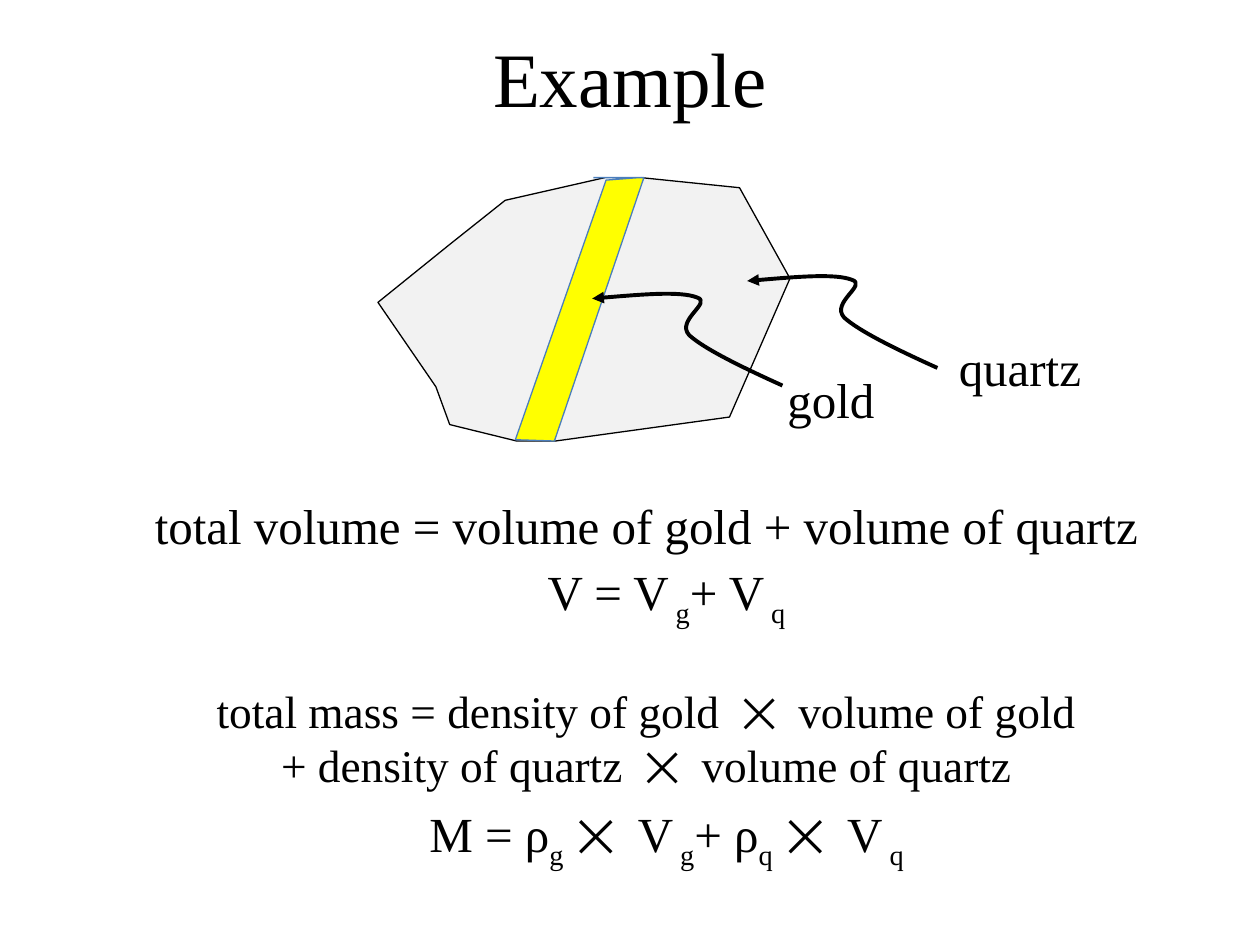
from pptx import Presentation
from pptx.dml.color import RGBColor as RGB
from pptx.enum.text import MSO_ANCHOR as Anchor, PP_ALIGN as Align
from pptx.oxml.ns import qn
from pptx.util import Emu, Pt
from lxml.etree import SubElement

PX = 9144
FONT = "Times New Roman"
COLORS = {"ink": "000000", "quartz": "F2F2F2", "gold": "FFFF00", "vein": "4B7EBC"}

ROCK = [(180, 0), (101, 18), (57, 53), (0, 99), (46, 166), (57, 196),
        (110, 209), (141, 209), (279, 190), (327, 80), (287, 8), (209, 0)]
VEIN = [(62, 0), (102, 0), (31, 209), (0, 208), (72, 2), (98, 0)]
POINTER = [(0, 6), (35, 3), (70, 0), (83, 5), (96, 9), (66, 23),
           (77, 35), (89, 46), (120, 61), (151, 75)]


def px(n):
    return Emu(n * PX)


def color(name):
    return RGB.from_string(COLORS[name])


def add_runs(p, runs, size):
    p.alignment = Align.CENTER
    for i, text in enumerate(runs):
        r = p.add_run()
        r.text = text
        fmt = {"name": FONT, "size": Pt(size)}
        for key, value in fmt.items():
            setattr(r.font, key, value)
        r.font.color.rgb = color("ink")
        if i % 2:
            r.font._element.set("baseline", "-25000")


def add_text(slide, box, lines, size, anchor=Anchor.MIDDLE):
    tf = slide.shapes.add_textbox(*map(px, box)).text_frame
    fmt = {"word_wrap": True, "vertical_anchor": anchor,
           "margin_top": 0, "margin_bottom": 0}
    for key, value in fmt.items():
        setattr(tf, key, value)
    for i, runs in enumerate(lines):
        p = tf.add_paragraph() if i else tf.paragraphs[0]
        add_runs(p, runs, size)


def add_outline(slide, left, top, points, line, width, fill=None):
    fb = slide.shapes.build_freeform(*points[0], scale=PX)
    fb.add_line_segments(points[1:], close=False)
    sp = fb.convert_to_shape(px(left), px(top))
    sp.shadow.inherit = False
    if fill:
        sp.fill.solid()
        sp.fill.fore_color.rgb = color(fill)
    else:
        sp.fill.background()
    sp.line.color.rgb = color(line)
    sp.line.width = Pt(width)
    return sp


def add_pointer(slide, left, top):
    sp = add_outline(slide, left, top, POINTER, "ink", 2.25)
    path = next(sp._element.iter(qn("a:path")))
    segments = path.findall(qn("a:lnTo"))
    for i in range(0, len(segments), 3):
        curve = SubElement(path, qn("a:cubicBezTo"))
        for segment in segments[i:i + 3]:
            curve.append(segment[0])
            path.remove(segment)
    SubElement(sp.line._get_or_add_ln(), qn("a:headEnd"), type="triangle")


def add_title(slide, box, text):
    title = slide.shapes.title
    for key, value in zip(("left", "top", "width", "height"), box):
        setattr(title, key, px(value))
    title.text_frame.vertical_anchor = Anchor.MIDDLE
    add_runs(title.text_frame.paragraphs[0], [text], 44)


def add_rock(slide, left, top):
    add_outline(slide, left, top, ROCK, "ink", 0.75, "quartz")
    add_outline(slide, left + 109, top, VEIN, "vein", 0.75, "gold")
    for label, dx, dy, text_dx, text_dy in (("gold", 170, 90, 293, 134),
                                            ("quartz", 293, 76, 443, 109)):
        add_pointer(slide, left + dx, top + dy)
        add_text(slide, (left + text_dx, top + text_dy, 133, 83), [[label]], 28)


def add_equations(slide, left, top, width):
    equations = [
        (0, 0, 28, [["total volume = volume of gold + volume of quartz"]]),
        (16, 53, 28, [["V = V", " g", "+ V", " q"]]),
        (0, 149, 25.9, [["total mass = density of gold  ⨉  volume of gold"],
                        ["+ density of quartz  ⨉  volume of quartz"]]),
        (16, 245, 28, [["M = ρ", "g  ", "⨉  V", " g", "+ ρ", "q  ", "⨉  V", " q"]]),
    ]
    for dx, dy, size, lines in equations:
        box = (left + dx, top + dy, width, 46 * len(lines))
        add_text(slide, box, lines, size, Anchor.TOP)


def main():
    prs = Presentation()
    prs.slide_width, prs.slide_height = px(1000), px(750)
    slide = prs.slides.add_slide(prs.slide_layouts[5])
    add_title(slide, (50, 17, 900, 88), "Example")
    add_rock(slide, 300, 141)
    add_equations(slide, 42, 393, 942)
    prs.save("out.pptx")


if __name__ == "__main__":
    main()
